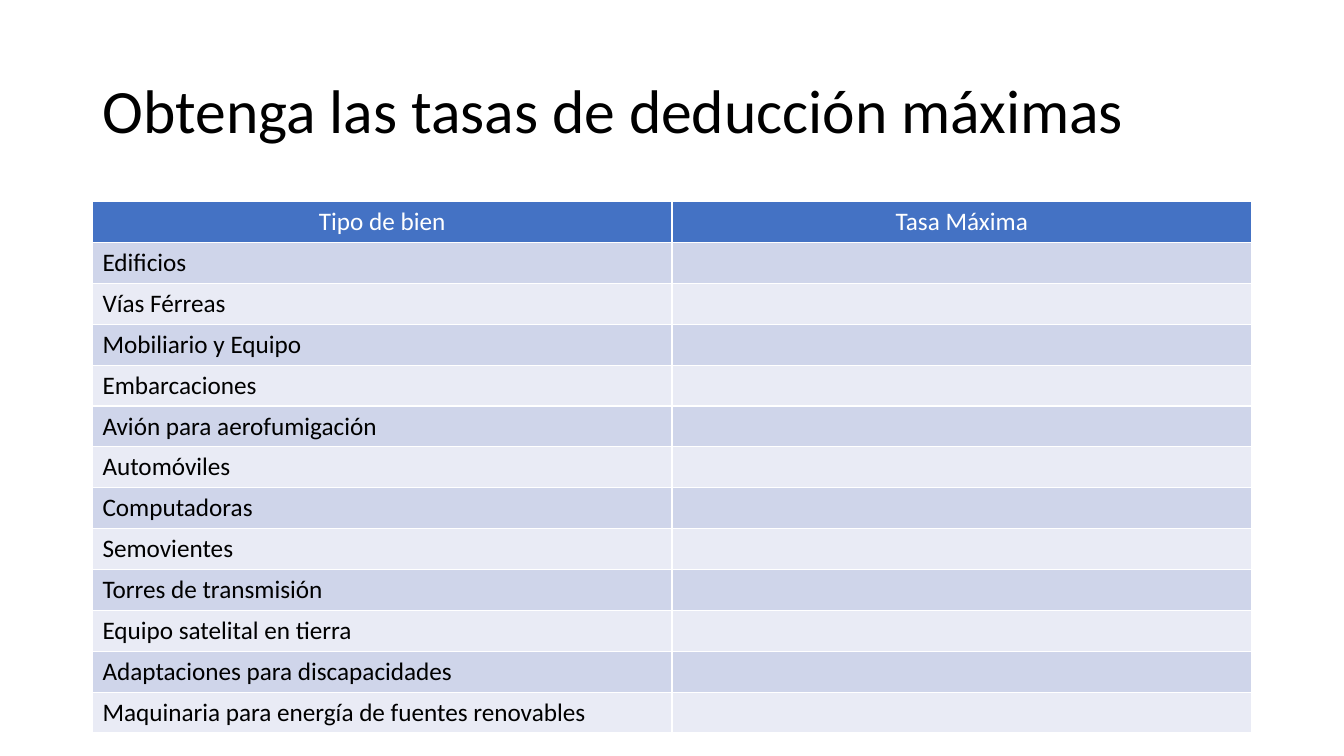
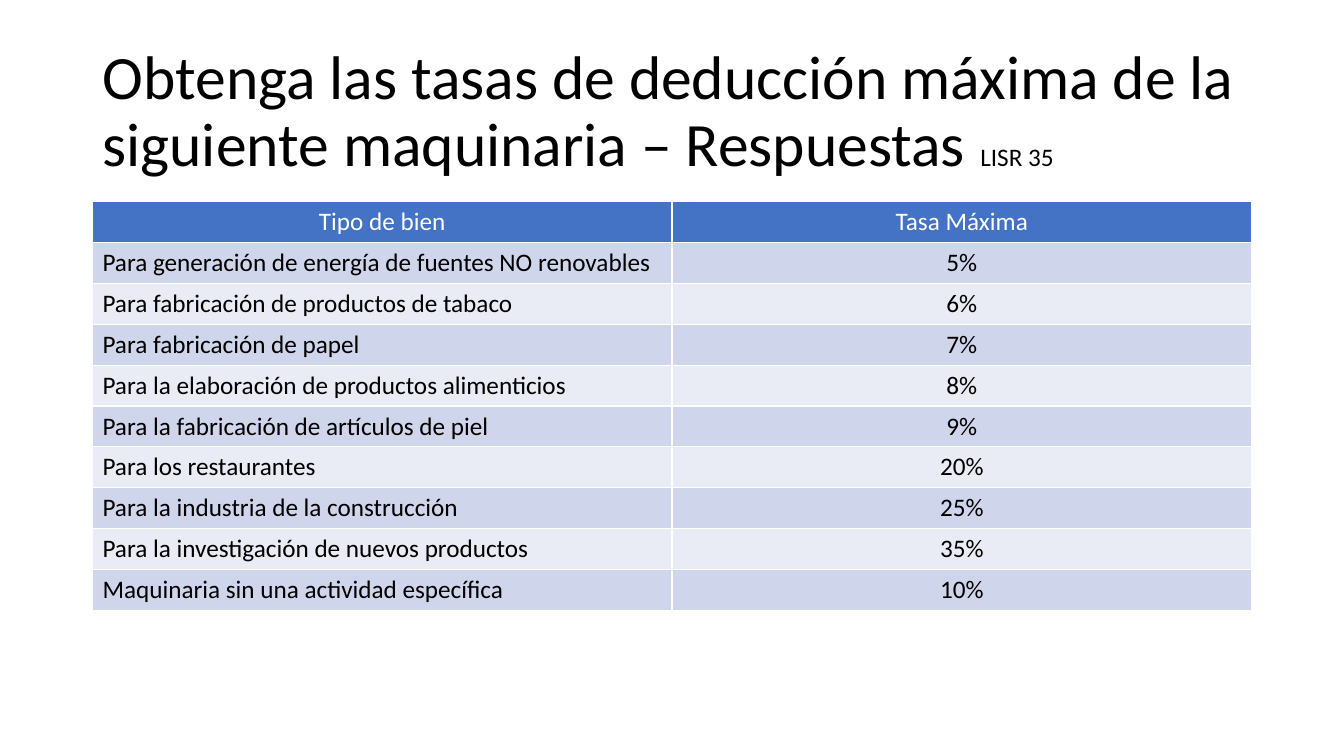
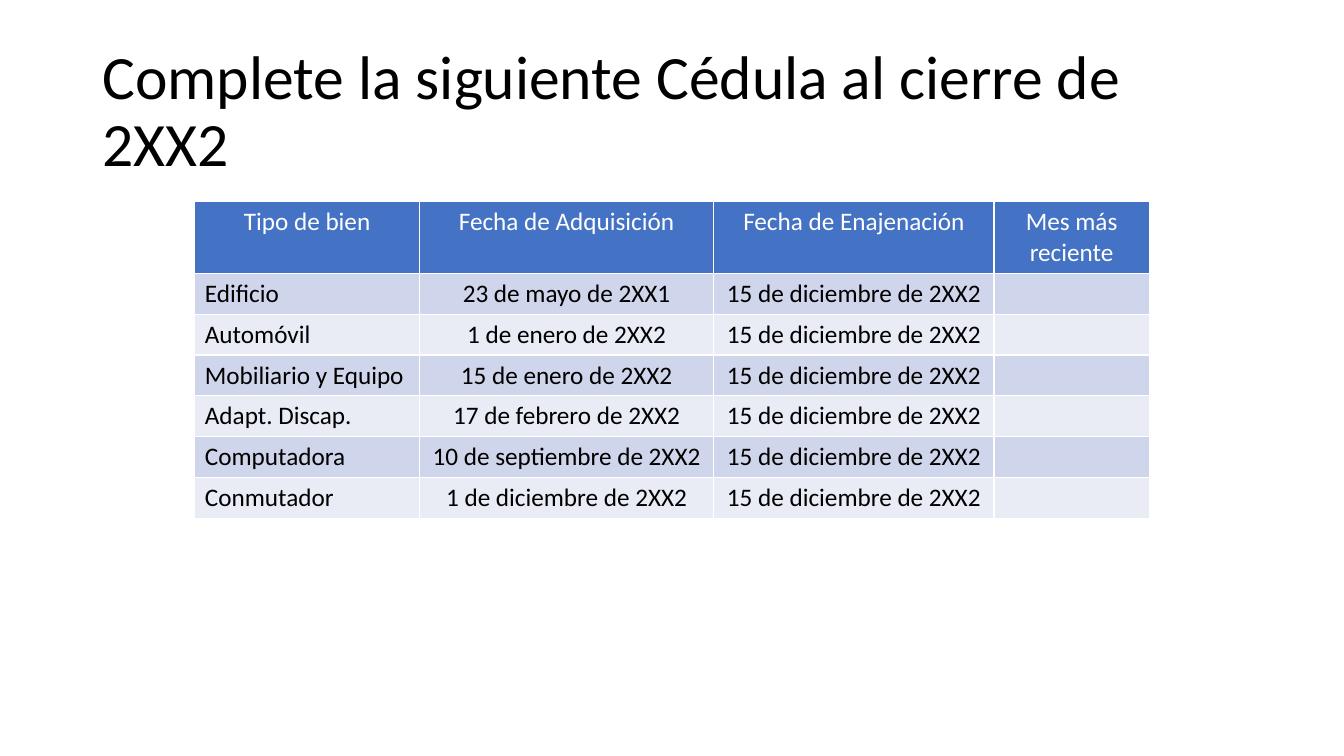
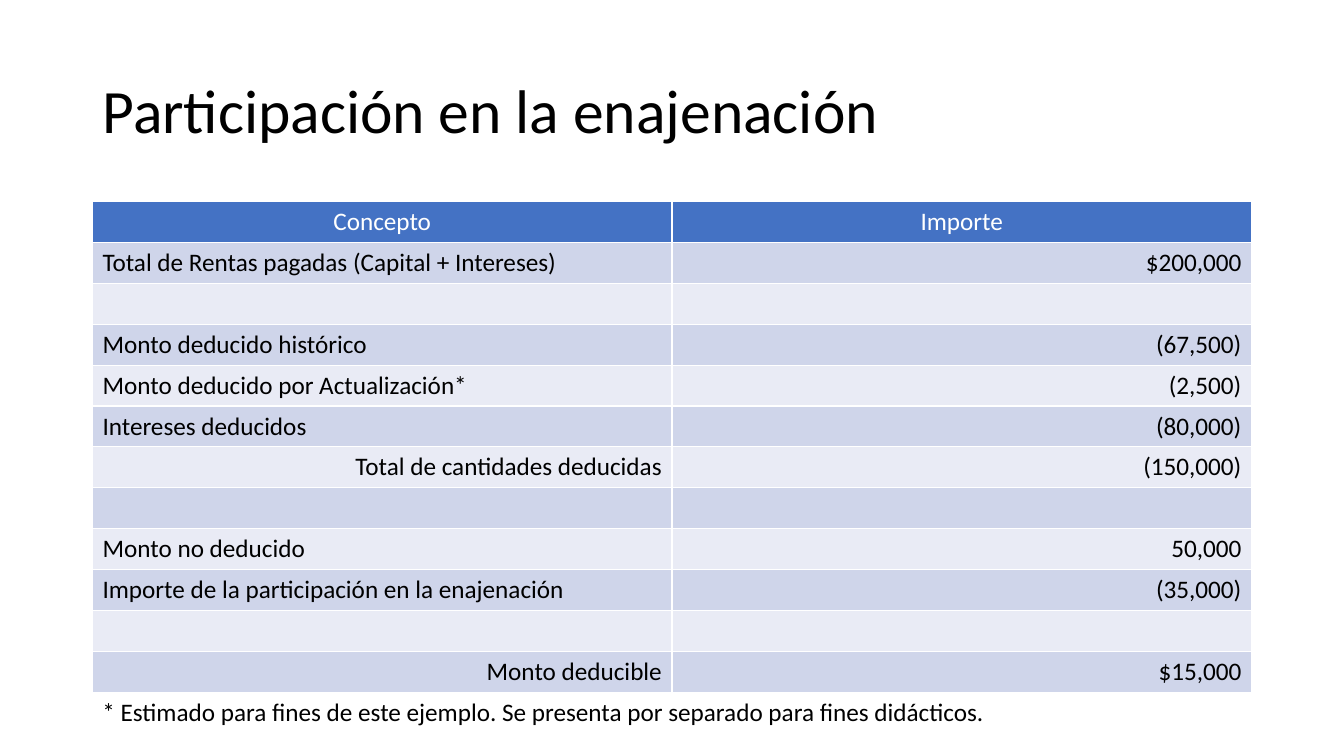
from pptx import Presentation
from pptx.dml.color import RGBColor
from pptx.enum.text import MSO_ANCHOR, MSO_AUTO_SIZE, PP_ALIGN
from pptx.util import Cm, Pt

LEFT, CENTER, RIGHT = PP_ALIGN.LEFT, PP_ALIGN.CENTER, PP_ALIGN.RIGHT
MIDDLE = MSO_ANCHOR.MIDDLE
NO_FIT = MSO_AUTO_SIZE.NONE

COLORS = {
    "text": "000000",
    "header": "4472C4",
    "header_text": "FFFFFF",
    "odd_row": "CFD5EA",
    "even_row": "E9EBF5",
}
FONT = "Calibri"
TITLE_SIZE, BODY_SIZE = 44, 18
SLIDE_WIDTH, SLIDE_HEIGHT = 33.87, 19.05
MARGIN, CONTENT_WIDTH = 2.33, 29.21
TABLE_TOP, ROW_HEIGHT = 5.08, 1.03
HALVES = (CONTENT_WIDTH / 2, CONTENT_WIDTH / 2)
TITLE_ONLY = 5


def color(name):
    return RGBColor.from_string(COLORS[name])


def write(frame, text, size=BODY_SIZE, ink="text", align=LEFT, spacing=None, suffix=""):
    paragraph = frame.paragraphs[0]
    paragraph.alignment = align
    if spacing:
        paragraph.line_spacing = spacing
    for words, points in ((text, size), (suffix, BODY_SIZE)):
        if words:
            run = paragraph.add_run()
            run.text = words
            run.font.name = FONT
            run.font.size = Pt(points)
            run.font.bold = False
            run.font.color.rgb = color(ink)


class Deck:
    def __init__(self):
        self.presentation = Presentation()
        self.presentation.slide_width = Cm(SLIDE_WIDTH)
        self.presentation.slide_height = Cm(SLIDE_HEIGHT)
        self.slide = None

    def start(self, heading, suffix=""):
        layout = self.presentation.slide_layouts[TITLE_ONLY]
        self.slide = self.presentation.slides.add_slide(layout)
        title = self.slide.shapes.title
        title.left, title.top = Cm(MARGIN), Cm(1.01)
        title.width, title.height = Cm(CONTENT_WIDTH), Cm(3.68)
        frame = title.text_frame
        frame.auto_size = NO_FIT
        frame.vertical_anchor = MIDDLE
        write(frame, heading, size=TITLE_SIZE, spacing=0.9, suffix=suffix)

    def table(self, headers, rows, widths=HALVES, header_height=ROW_HEIGHT,
              values_align=CENTER, totals=()):
        width = sum(widths)
        height = header_height + ROW_HEIGHT * len(rows)
        grid = self.slide.shapes.add_table(
            len(rows) + 1, len(headers), Cm((SLIDE_WIDTH - width) / 2),
            Cm(TABLE_TOP), Cm(width), Cm(height)).table
        for column, column_width in zip(grid.columns, widths):
            column.width = Cm(column_width)
        for r, texts in enumerate([headers, *rows]):
            grid.rows[r].height = Cm(ROW_HEIGHT if r else header_height)
            band = ("odd_row" if r % 2 else "even_row") if r else "header"
            for c, text in enumerate(texts):
                cell = grid.cell(r, c)
                cell.fill.solid()
                cell.fill.fore_color.rgb = color(band)
                if r == 0:
                    align = CENTER
                elif c:
                    align = values_align
                else:
                    align = RIGHT if text in totals else LEFT
                write(cell.text_frame, text, align=align,
                      ink="text" if r else "header_text")

    def footnote(self, text):
        note = self.slide.shapes.add_textbox(Cm(MARGIN), Cm(17.42), Cm(23.65), Cm(1.03))
        note.text_frame.word_wrap = True
        write(note.text_frame, text)

    def save(self):
        self.presentation.save("out.pptx")


RATE_HEADERS = ("Tipo de bien", "Tasa Máxima")

ASSETS = (
    "Edificios",
    "Vías Férreas",
    "Mobiliario y Equipo",
    "Embarcaciones",
    "Avión para aerofumigación",
    "Automóviles",
    "Computadoras",
    "Semovientes",
    "Torres de transmisión",
    "Equipo satelital en tierra",
    "Adaptaciones para discapacidades",
    "Maquinaria para energía de fuentes renovables",
)

MACHINERY_RATES = (
    ("Para generación de energía de fuentes NO renovables", "5%"),
    ("Para fabricación de productos de tabaco", "6%"),
    ("Para fabricación de papel", "7%"),
    ("Para la elaboración de productos alimenticios", "8%"),
    ("Para la fabricación de artículos de piel", "9%"),
    ("Para los restaurantes", "20%"),
    ("Para la industria de la construcción", "25%"),
    ("Para la investigación de nuevos productos", "35%"),
    ("Maquinaria sin una actividad específica", "10%"),
)

SALE_DATE = "15 de diciembre de 2XX2"
PURCHASES = (
    ("Edificio", "23 de mayo de 2XX1"),
    ("Automóvil", "1 de enero de 2XX2"),
    ("Mobiliario y Equipo", "15 de enero de 2XX2"),
    ("Adapt. Discap.", "17 de febrero de 2XX2"),
    ("Computadora", "10 de septiembre de 2XX2"),
    ("Conmutador", "1 de diciembre de 2XX2"),
)

DEDUCTED_TOTAL = "Total de cantidades deducidas"
DEDUCTIBLE = "Monto deducible"
AMOUNTS = (
    ("Total de Rentas pagadas (Capital + Intereses)", "$200,000"),
    ("", ""),
    ("Monto deducido histórico", "(67,500)"),
    ("Monto deducido por Actualización*", "(2,500)"),
    ("Intereses deducidos", "(80,000)"),
    (DEDUCTED_TOTAL, "(150,000)"),
    ("", ""),
    ("Monto no deducido", "50,000"),
    ("Importe de la participación en la enajenación", "(35,000)"),
    ("", ""),
    (DEDUCTIBLE, "$15,000"),
)


def main():
    deck = Deck()

    deck.start("Obtenga las tasas de deducción máximas")
    deck.table(RATE_HEADERS, [(asset, "") for asset in ASSETS])

    deck.start("Obtenga las tasas de deducción máxima de la siguiente maquinaria – Respuestas ",
               suffix="LISR 35")
    deck.table(RATE_HEADERS, MACHINERY_RATES)

    deck.start("Complete la siguiente Cédula al cierre de 2XX2")
    deck.table(
        ("Tipo de bien", "Fecha de Adquisición", "Fecha de Enajenación", "Mes más reciente"),
        [(asset, bought, SALE_DATE, "") for asset, bought in PURCHASES],
        widths=(5.66, 7.42, 7.06, 3.91), header_height=1.78)

    deck.start("Participación en la enajenación")
    deck.table(("Concepto", "Importe"), AMOUNTS, values_align=RIGHT,
               totals=(DEDUCTED_TOTAL, DEDUCTIBLE))
    deck.footnote("* Estimado para fines de este ejemplo. "
                  "Se presenta por separado para fines didácticos.")

    deck.save()


if __name__ == "__main__":
    main()
